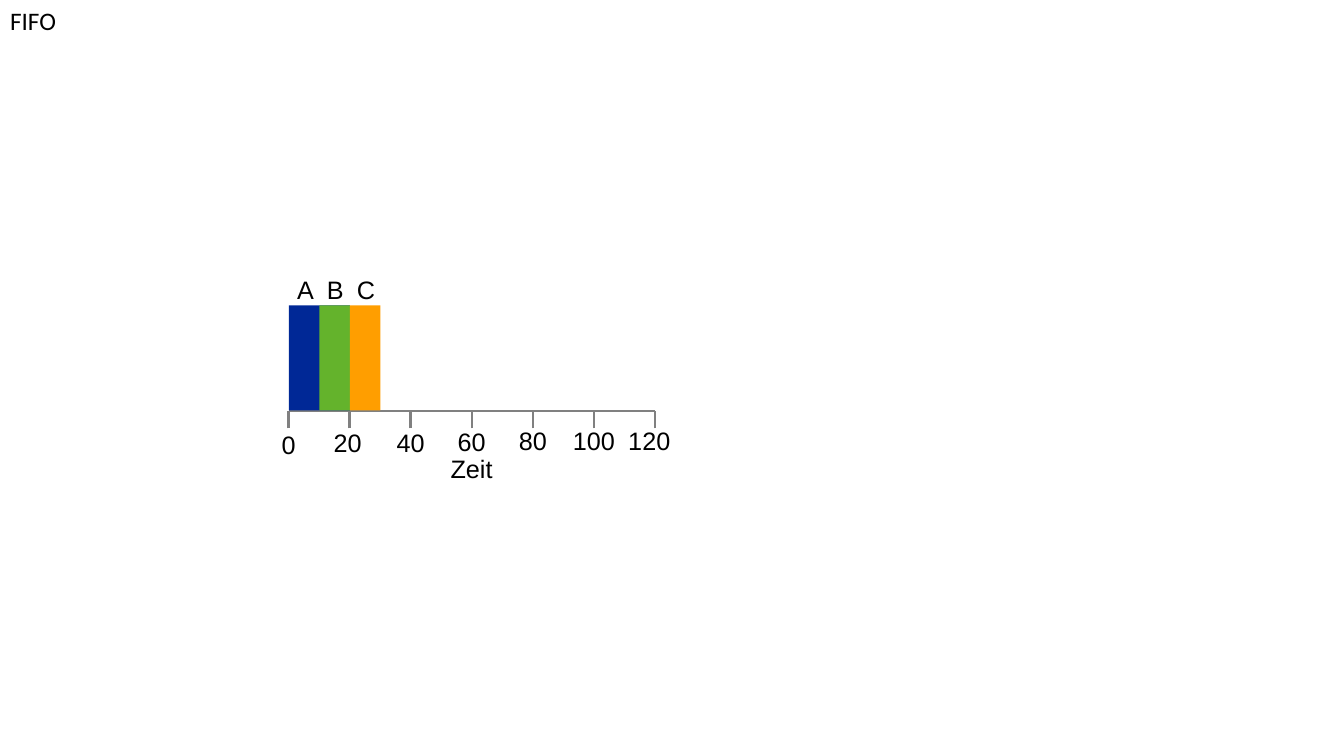
from dataclasses import dataclass

from pptx import Presentation
from pptx.dml.color import RGBColor
from pptx.enum import shapes, text
from pptx.oxml.ns import qn
from pptx.util import Pt

TITLE = "FIFO"
AXIS_TITLE = "Zeit"
# label, horizontal shift from its tick, top
TICKS = [
    ("0", 0, 303.1),
    ("20", -1.4, 301.7),
    ("40", 0, 301.7),
    ("60", 0, 301),
    ("80", 0, 300.2),
    ("100", 0, 300.2),
    ("120", -4, 300.2),
]
# job, start, length, colour; B is drawn over the second half of A
JOBS = [
    ("A", 0, 20, "002896"),
    ("B", 10, 10, "64B32C"),
    ("C", 20, 10, "FF9E00"),
]


@dataclass(frozen=True)
class Theme:
    title_font: str = "Calibri"
    font: str = "Arial"
    size: float = 18
    ink: str = "000000"
    axis: str = "808080"
    axis_width: float = 1.5
    tick_width: float = 2


T = Theme()
AXIS_X, AXIS_Y = 206.3, 293.8
TICK_STEP, TICK_H = 43.6, 12.2
UNIT = TICK_STEP / 20
BAR_TOP, BAR_H = 218.2, 75
JOB_LABEL_X, JOB_LABEL_STEP, JOB_LABEL_TOP = 205.2, 21.3, 192.2
LABEL_H, DIGIT_W, PADDING = 28.8, 10, 14.4


def write(tf, words, font, wrap=False):
    tf.word_wrap = wrap
    tf.vertical_anchor = text.MSO_ANCHOR.TOP
    p = tf.paragraphs[0]
    p.alignment = text.PP_ALIGN.LEFT
    r = p.add_run()
    r.text = words
    r.font.name = font
    r.font.size = Pt(T.size)
    r.font.color.rgb = RGBColor.from_string(T.ink)


def add_label(parent, words, x, y, w, wrap=False):
    sp = parent.add_textbox(Pt(x), Pt(y), Pt(w), Pt(LABEL_H))
    write(sp.text_frame, words, T.font, wrap)
    sp.text_frame.auto_size = text.MSO_AUTO_SIZE.SHAPE_TO_FIT_TEXT


def add_line(parent, x1, y1, x2, y2, width):
    cn = parent.add_connector(shapes.MSO_CONNECTOR.STRAIGHT,
                              Pt(x1), Pt(y1), Pt(x2), Pt(y2))
    cn.line.color.rgb = RGBColor.from_string(T.axis)
    cn.line.width = Pt(width)
    sp_pr = cn._element.spPr
    sp_pr.append(sp_pr.makeelement(qn("a:effectLst"), {}))


def add_axis(parent):
    end = AXIS_X + TICK_STEP * (len(TICKS) - 1)
    add_line(parent, AXIS_X, AXIS_Y, end, AXIS_Y, T.axis_width)
    for i, (words, shift, top) in enumerate(TICKS):
        x = AXIS_X + i * TICK_STEP
        w = PADDING + DIGIT_W * len(words)
        add_line(parent, x, AXIS_Y + TICK_H, x, AXIS_Y, T.tick_width)
        add_label(parent, words, x + shift - w / 2, top, w)
    w = 44.6
    add_label(parent, AXIS_TITLE, (AXIS_X + end - w) / 2, 320.4, w)


def add_jobs(parent):
    for i, (job, start, length, colour) in enumerate(JOBS):
        sp = parent.add_shape(shapes.MSO_SHAPE.RECTANGLE,
                              Pt(AXIS_X + start * UNIT), Pt(BAR_TOP),
                              Pt(length * UNIT), Pt(BAR_H))
        sp.shadow.inherit = False
        sp.fill.solid()
        sp.fill.fore_color.rgb = RGBColor.from_string(colour)
        sp.line.fill.background()
        add_label(parent, job, JOB_LABEL_X + i * JOB_LABEL_STEP,
                  JOB_LABEL_TOP, 24.5, wrap=True)


def main():
    prs = Presentation()
    prs.slide_width, prs.slide_height = Pt(960), Pt(540)
    s = prs.slides.add_slide(prs.slide_layouts[5])
    title = s.shapes.title
    title.left, title.top, title.width, title.height = Pt(0), Pt(0), Pt(47.5), Pt(28.8)
    write(title.text_frame, TITLE, T.title_font)
    title.text_frame.auto_size = text.MSO_AUTO_SIZE.SHAPE_TO_FIT_TEXT
    timeline = s.shapes.add_group_shape().shapes
    add_axis(timeline)
    add_jobs(timeline)
    prs.save("out.pptx")


if __name__ == "__main__":
    main()
